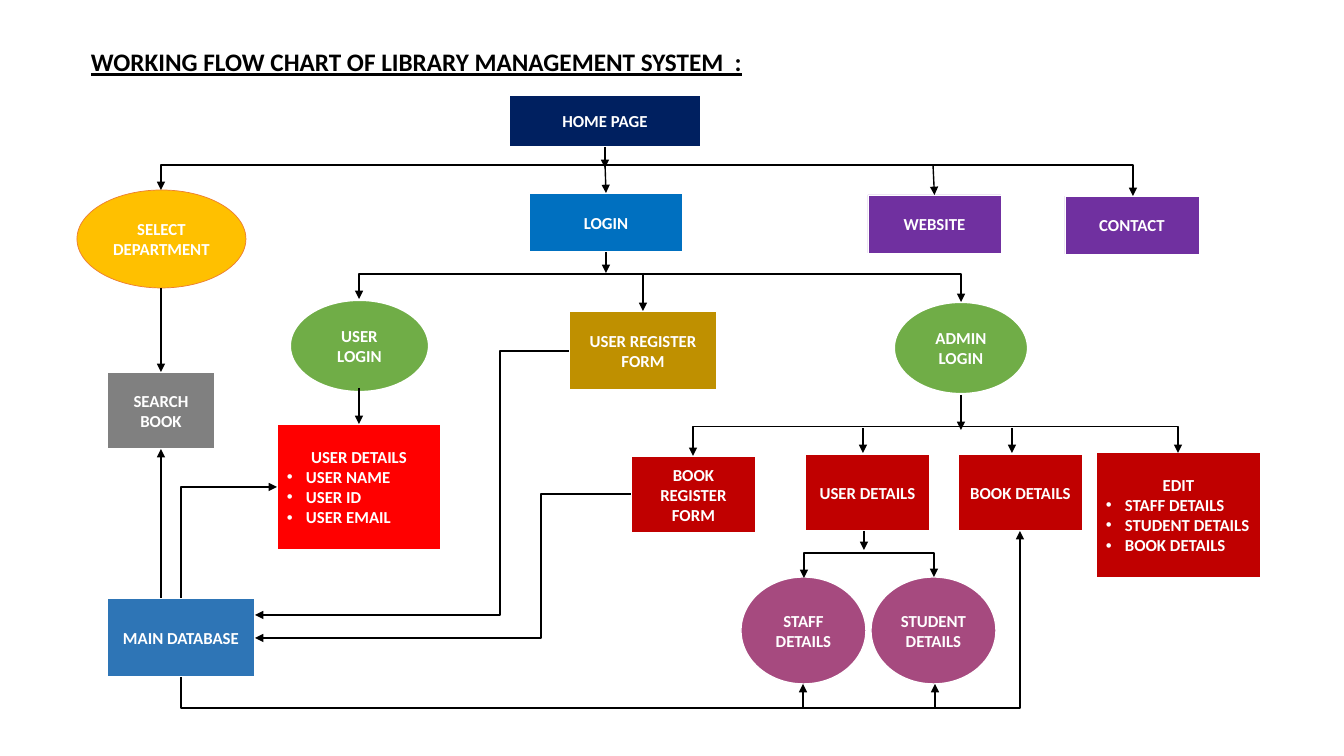
"""Draw the working flow chart of a library management system."""
from lxml.etree import SubElement
from pptx import Presentation
from pptx.dml.color import RGBColor
from pptx.enum.shapes import MSO_CONNECTOR as CONNECTOR, MSO_SHAPE as SHAPE
from pptx.enum.text import MSO_ANCHOR as ANCHOR, PP_ALIGN as ALIGN
from pptx.oxml.ns import qn
from pptx.util import Pt

PX = 9071
FONT = "Calibri"
TITLE = "WORKING FLOW CHART OF LIBRARY MANAGEMENT SYSTEM  :"
TITLE_BOX = (81, 38, 1159, 44)
BULLET_INDENT = 19
TOP, LEFT, BOTTOM = 0, 1, 2
WHITE, BLACK = "FFFFFF", "000000"

# name: (kind, box, fill, outline, outline points, lines of text)
NODES = {
    "home": (SHAPE.RECTANGLE, (509, 95, 192, 52), "002060", WHITE, 1.5, ["HOME PAGE"]),
    "login": (SHAPE.RECTANGLE, (529, 193, 154, 59), "0070C0", WHITE, 1.5, ["LOGIN"]),
    "website": (SHAPE.RECTANGLE, (868, 195, 133, 58), "7030A0", WHITE, 0.5, ["WEBSITE"]),
    "contact": (SHAPE.RECTANGLE, (1065, 196, 134, 58), "7030A0", WHITE, 0.5, ["CONTACT"]),
    "book form": (SHAPE.RECTANGLE, (631, 456, 125, 77), "C00000", WHITE, 1, ["BOOK REGISTER FORM"]),
    "user": (SHAPE.RECTANGLE, (277, 424, 164, 126), "FF0000", WHITE, 1,
             ["USER DETAILS", "USER NAME", "USER ID", "USER EMAIL"]),
    "search": (SHAPE.RECTANGLE, (107, 372, 108, 77), "808080", WHITE, 1.5, ["SEARCH BOOK"]),
    "edit": (SHAPE.RECTANGLE, (1096, 452, 165, 126), "C00000", WHITE, 1,
             ["EDIT", "STAFF DETAILS", "STUDENT DETAILS", "BOOK DETAILS"]),
    "department": (SHAPE.OVAL, (77, 190, 169, 98), "FFC000", "ED7D31", 0.5, ["SELECT DEPARTMENT"]),
    "user login": (SHAPE.OVAL, (290, 300, 139, 92), "70AD47", WHITE, 1.5, ["USER LOGIN"]),
    "admin login": (SHAPE.OVAL, (894, 302, 134, 92), "70AD47", WHITE, 1.5, ["ADMIN LOGIN"]),
    "staff": (SHAPE.OVAL, (741, 577, 125, 107), "A64A7F", WHITE, 1, ["STAFF DETAILS"]),
    "student": (SHAPE.OVAL, (871, 577, 125, 107), "A64A7F", WHITE, 1, ["STUDENT DETAILS"]),
    "user details": (SHAPE.RECTANGLE, (805, 454, 125, 77), "C00000", WHITE, 1, ["USER DETAILS"]),
    "user form": (SHAPE.RECTANGLE, (569, 311, 148, 79), "BF9000", WHITE, 1, ["USER REGISTER FORM"]),
    "database": (SHAPE.RECTANGLE, (107, 598, 148, 79), "2E75B6", WHITE, 1, ["MAIN DATABASE"]),
    "book details": (SHAPE.RECTANGLE, (958, 454, 125, 77), "C00000", WHITE, 1, ["BOOK DETAILS"]),
}

# An end is a point or (node name, side)
ARROWS = [
    (("home", BOTTOM), (605, 168)), ((605, 163), ("login", TOP)),
    ((933, 165), ("website", TOP)), (("login", BOTTOM), (606, 273)),
    ((161, 288), ("search", TOP)), ((961, 395), (961, 430)),
    ((863, 428), (863, 453)), ((864, 531), (864, 550)),
    ((359, 388), ("user", TOP)), ((643, 273), ("user form", TOP)),
    ((161, 598), ("search", BOTTOM)), ((1012, 428), (1012, 453)),
    ((803, 707), (803, 684)), ((935, 707), (935, 684)),
]
# start, end, y of the shared bar, arrowheads
BARS = [
    ((161, 190), (1133, 196), 165, ("headEnd", "tailEnd")),
    ((359, 299), (961, 302), 274, ("headEnd", "tailEnd")),
    ((693, 456), (1178, 453), 427, ("headEnd", "tailEnd")),
    ((804, 578), (934, 577), 553, ("headEnd", "tailEnd")),
    ((181, 677), (1020, 531), 708, ("tailEnd",)),
]
# start, end, x of the vertical part
SIDE_ROUTES = [((569, 351), (255, 615), 500), ((631, 494), (255, 638), 541)]
CORNER_ROUTE = ((181, 598), (277, 487))


def px(*lengths):
    return [round(length * PX) for length in lengths]


def color(hex_code):
    return RGBColor.from_string(hex_code)


def set_font(paragraph, size, hex_code):
    font = paragraph.font
    font.name, font.size, font.bold = FONT, Pt(size), True
    font.color.rgb = color(hex_code)


def add_bullet(paragraph):
    properties = paragraph._p.get_or_add_pPr()
    indent, = px(BULLET_INDENT)
    properties.set("marL", str(indent))
    properties.set("indent", str(-indent))
    SubElement(properties, qn("a:buFont"), typeface="Arial")
    SubElement(properties, qn("a:buChar"), char="•")


def add_node(slide, kind, box, fill, outline, width, lines):
    shape = slide.shapes.add_shape(kind, *px(*box))
    shape.shadow.inherit = False
    shape.fill.solid()
    shape.fill.fore_color.rgb = color(fill)
    shape.line.color.rgb = color(outline)
    shape.line.width = Pt(width)
    frame = shape.text_frame
    frame.word_wrap = True
    frame.vertical_anchor = ANCHOR.MIDDLE
    for index, line in enumerate(lines):
        paragraph = frame.add_paragraph() if index else frame.paragraphs[0]
        paragraph.text = line
        paragraph.alignment = ALIGN.LEFT if index else ALIGN.CENTER
        if index:
            add_bullet(paragraph)
        set_font(paragraph, 12, WHITE)
    return shape


def add_line(slide, kind, start, end, heads=("tailEnd",)):
    connector = slide.shapes.add_connector(kind, *px(*start, *end))
    connector.line.color.rgb = color(BLACK)
    connector.line.width = Pt(1)
    for head in heads:
        SubElement(connector.line._get_or_add_ln(), qn(f"a:{head}"), type="triangle")
    SubElement(connector._element.spPr, qn("a:effectLst"))
    return connector


def add_arrow(slide, nodes, start, end):
    ends = [(0, 0) if isinstance(point[0], str) else point for point in (start, end)]
    connector = add_line(slide, CONNECTOR.STRAIGHT, *ends)
    for point, join in ((start, connector.begin_connect), (end, connector.end_connect)):
        if isinstance(point[0], str):
            join(nodes[point[0]], point[1])


def add_elbow(slide, start, end, bar=None, upright=True, heads=("tailEnd",)):
    connector = add_line(slide, CONNECTOR.ELBOW, start, end, heads)
    (x1, y1), (x2, y2) = start, end
    width, height = abs(x2 - x1), abs(y2 - y1)
    if upright:
        width, height = height, width
        turn, flips = (270, ("flipH",)) if y2 > y1 else (90, ("flipH", "flipV"))
    else:
        turn, flips = 180, ("flipV",)
    connector.left, connector.top, connector.width, connector.height = px(
        (x1 + x2 - width) / 2, (y1 + y2 - height) / 2, width, height)
    transform = connector._element.spPr.find(qn("a:xfrm"))
    for flip in ("flipH", "flipV"):
        transform.set(flip, str(int(flip in flips)))
    transform.set("rot", str(turn * 60000))
    geometry = connector._element.spPr.find(qn("a:prstGeom"))
    if bar is None:
        geometry.set("prst", "bentConnector2")
        return
    ratio = (bar - y1) / (y2 - y1) if upright else (bar - x1) / (x2 - x1)
    SubElement(geometry.find(qn("a:avLst")), qn("a:gd"),
               name="adj1", fmla=f"val {round(ratio * 100000)}")


def add_title(slide):
    frame = slide.shapes.add_textbox(*px(*TITLE_BOX)).text_frame
    frame.word_wrap = True
    frame.vertical_anchor = ANCHOR.BOTTOM
    paragraph = frame.paragraphs[0]
    paragraph.text = TITLE
    paragraph.line_spacing = 0.9
    set_font(paragraph, 18, BLACK)
    paragraph.font.underline = True


def main():
    presentation = Presentation()
    presentation.slide_width, presentation.slide_height = px(1344, 756)
    slide = presentation.slides.add_slide(presentation.slide_layouts[6])
    nodes = {name: add_node(slide, *node) for name, node in NODES.items()}
    for start, end, bar, heads in BARS:
        add_elbow(slide, start, end, bar, heads=heads)
    for start, end, bar in SIDE_ROUTES:
        add_elbow(slide, start, end, bar, upright=False)
    add_elbow(slide, *CORNER_ROUTE)
    for start, end in ARROWS:
        add_arrow(slide, nodes, start, end)
    add_title(slide)
    presentation.save("out.pptx")


if __name__ == "__main__":
    main()
